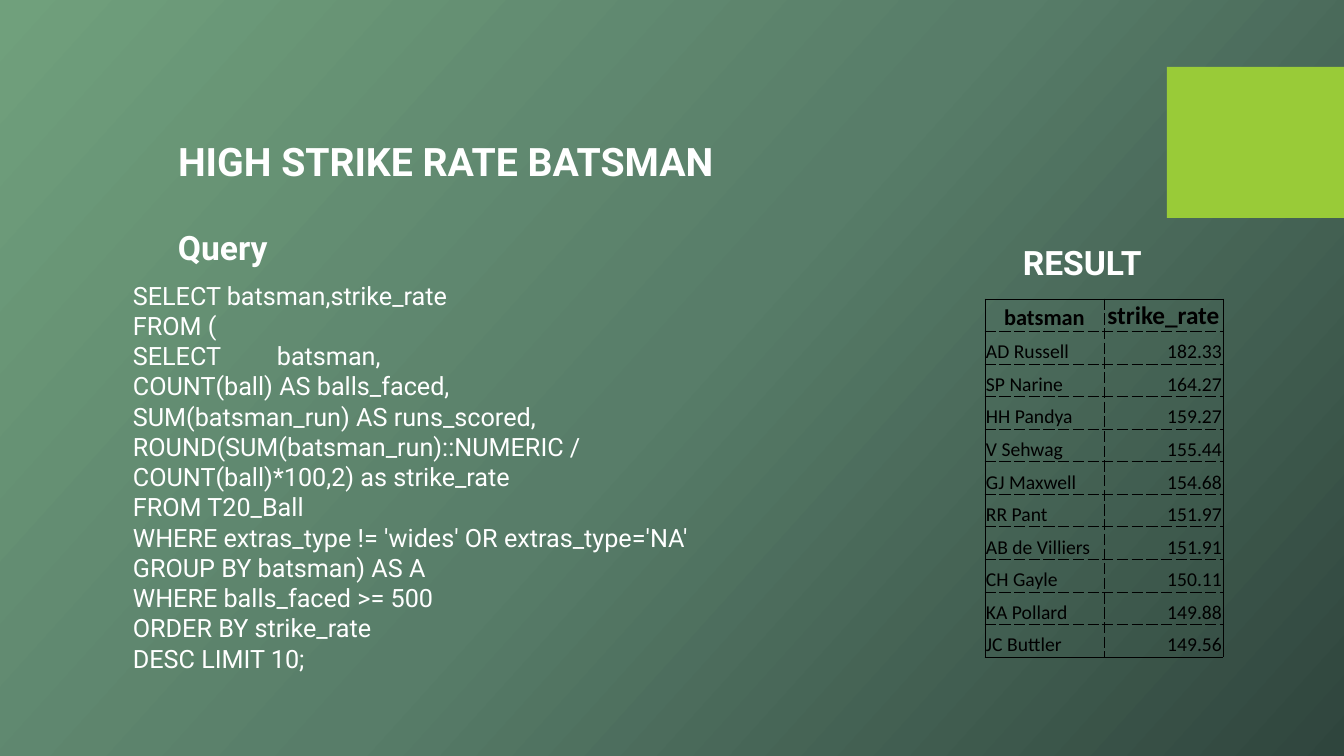
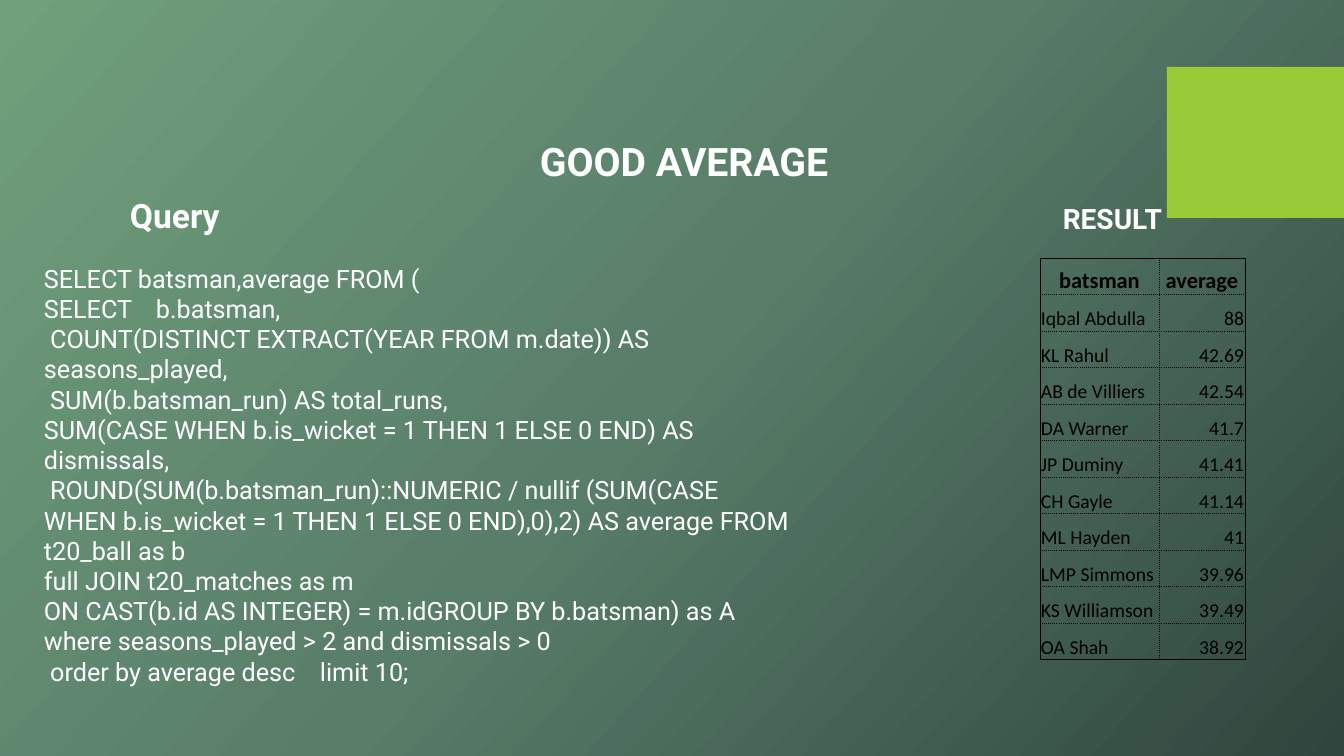
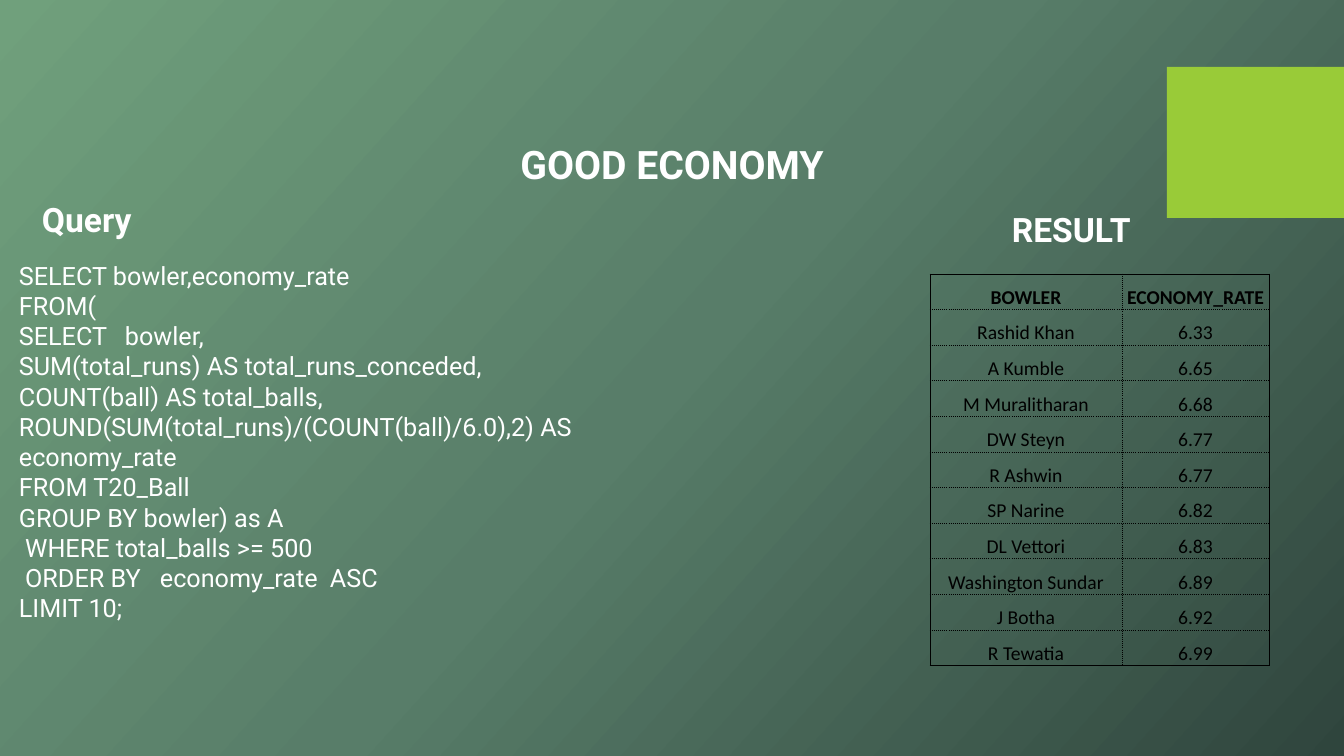
from copy import deepcopy

from lxml.etree import SubElement
from pptx import Presentation
from pptx.dml.color import RGBColor
from pptx.enum.shapes import MSO_SHAPE
from pptx.enum.text import MSO_ANCHOR, MSO_AUTO_SIZE, PP_ALIGN
from pptx.oxml.ns import qn
from pptx.util import Emu, Pt

# Shared look
SLIDE_W, SLIDE_H = 1344, 756
GRADIENT = [(0, "70A07C"), (0.5, "587D69"), (1, "2F453D")]
GREEN, WHITE, BLACK = "99CB38", "FFFFFF", "000000"
TEXT_FONT, TABLE_FONT = "Roboto", "Calibri"
LEFT, CENTER, RIGHT = PP_ALIGN.LEFT, PP_ALIGN.CENTER, PP_ALIGN.RIGHT

# Content: each query line is its text followed by its tab stops
STRIKE_RATE = dict(
    title="HIGH STRIKE RATE BATSMAN", title_box=(168, 132, 846, 57), title_align=LEFT,
    query_at=(168, 222), code_box=(123, 275, 643, 407),
    result_at=(1013, 237), result_size=24,
    query=[
        ("SELECT batsman,strike_rate",),
        ("FROM (",),
        ("SELECT\tbatsman,", 144),
        ("COUNT(ball) AS balls_faced,",),
        ("SUM(batsman_run) AS runs_scored,",),
        ("ROUND(SUM(batsman_run)::NUMERIC / COUNT(ball)*100,2) as strike_rate",),
        ("FROM T20_Ball",),
        ("WHERE extras_type != 'wides' OR extras_type='NA' GROUP BY batsman) AS A",),
        ("WHERE balls_faced >= 500",),
        ("ORDER BY strike_rate",),
        ("DESC LIMIT 10;",),
    ],
    table=dict(
        at=(985, 299), col_widths=(119, 119), height=358, dash="dash",
        header_sizes=(16, 18), aligns=(LEFT, RIGHT),
        rows=[
            ("batsman", "strike_rate"),
            ("AD Russell", "182.33"), ("SP Narine", "164.27"),
            ("HH Pandya", "159.27"), ("V Sehwag", "155.44"),
            ("GJ Maxwell", "154.68"), ("RR Pant", "151.97"),
            ("AB de Villiers", "151.91"), ("CH Gayle", "150.11"),
            ("KA Pollard", "149.88"), ("JC Buttler", "149.56"),
        ]),
)

AVERAGE = dict(
    title="GOOD AVERAGE", title_box=(24, 132, 1320, 57), title_align=CENTER,
    query_at=(120, 190), code_box=(34, 258, 765, 437),
    result_at=(1053, 197), result_size=20,
    query=[
        ("SELECT batsman,average FROM (",),
        ("SELECT\tb.batsman,", 112),
        (" COUNT(DISTINCT EXTRACT(YEAR FROM m.date)) AS seasons_played,",),
        (" SUM(b.batsman_run) AS total_runs,",),
        ("SUM(CASE WHEN b.is_wicket = 1 THEN 1 ELSE 0 END) AS dismissals,",),
        (" ROUND(SUM(b.batsman_run)::NUMERIC / nullif (SUM(CASE WHEN b.is_wicket = 1 "
         "THEN 1 ELSE 0 END),0),2) AS average FROM t20_ball as b",),
        ("full JOIN t20_matches as m",),
        ("ON CAST(b.id AS INTEGER) = m.idGROUP BY b.batsman) as A "
         "where seasons_played > 2 and dismissals > 0",),
        (" order by average desc\tlimit 10;", 276),
    ],
    table=dict(
        at=(1040, 258), col_widths=(119, 86), height=402, dash="dot",
        header_sizes=(16, 16), aligns=(LEFT, RIGHT),
        rows=[
            ("batsman", "average"),
            ("Iqbal Abdulla", "88"), ("KL Rahul", "42.69"),
            ("AB de Villiers", "42.54"), ("DA Warner", "41.7"),
            ("JP Duminy", "41.41"), ("CH Gayle", "41.14"),
            ("ML Hayden", "41"), ("LMP Simmons", "39.96"),
            ("KS Williamson", "39.49"), ("OA Shah", "38.92"),
        ]),
)

ECONOMY = dict(
    title="GOOD ECONOMY", title_box=(0, 135, 1344, 57), title_align=CENTER,
    query_at=(32, 194), code_box=(9, 255, 630, 377),
    result_at=(1002, 204), result_size=24,
    query=[
        ("SELECT bowler,economy_rate",),
        ("FROM(",),
        ("SELECT\tbowler,", 106),
        ("SUM(total_runs) AS total_runs_conceded,",),
        ("COUNT(ball) AS total_balls,",),
        ("ROUND(SUM(total_runs)/(COUNT(ball)/6.0),2) AS economy_rate",),
        ("FROM T20_Ball",),
        ("GROUP BY bowler) as A",),
        (" WHERE total_balls >= 500",),
        (" ORDER BY\teconomy_rate\tASC", 141, 311),
        ("LIMIT 10;",),
    ],
    table=dict(
        at=(930, 274), col_widths=(192, 147), height=392, dash="dot",
        header_sizes=(14, 14), aligns=(CENTER, CENTER),
        rows=[
            ("BOWLER", "ECONOMY_RATE"),
            ("Rashid Khan", "6.33"), ("A Kumble", "6.65"),
            ("M Muralitharan", "6.68"), ("DW Steyn", "6.77"),
            ("R Ashwin", "6.77"), ("SP Narine", "6.82"),
            ("DL Vettori", "6.83"), ("Washington Sundar", "6.89"),
            ("J Botha", "6.92"), ("R Tewatia", "6.99"),
        ]),
)


def px(length):
    return Emu(round(length * 12192000 / SLIDE_W))


def rgb(color):
    return RGBColor.from_string(color)


def add_run(paragraph, text, size, font=TEXT_FONT, color=WHITE, bold=False):
    run = paragraph.add_run()
    run.text = text
    run.font.name, run.font.size, run.font.bold = font, Pt(size), bold
    run.font.color.rgb = rgb(color)


def set_tab_stops(paragraph, stops):
    tab_list = SubElement(paragraph._p.get_or_add_pPr(), qn("a:tabLst"))
    for stop in stops:
        SubElement(tab_list, qn("a:tab"), pos=str(px(stop)), algn="l")


def set_master_background(master):
    fill = master.background.fill
    fill.gradient()
    stop_list = master.element.find(".//" + qn("a:gsLst"))
    stop_list.insert(1, deepcopy(stop_list[0]))
    for stop, (position, color) in zip(fill.gradient_stops, GRADIENT):
        stop.position = position
        stop.color.rgb = rgb(color)
    fill.gradient_angle = 360 - 42


def add_layout_block(layout, slide):
    """Draw the green block and hand it to the layout, so every slide shows it."""
    block = slide.shapes.add_shape(MSO_SHAPE.RECTANGLE, px(1167), px(67), px(177), px(151))
    block.shadow.inherit = False
    block.fill.solid()
    block.fill.fore_color.rgb = rgb(GREEN)
    block.line.fill.background()
    layout.element.find(".//" + qn("p:spTree")).append(block.element)


def set_title(slide, text, box, align):
    title = slide.shapes.title
    title.left, title.top, title.width, title.height = map(px, box)
    frame = title.text_frame
    frame.vertical_anchor = MSO_ANCHOR.TOP
    frame.auto_size = MSO_AUTO_SIZE.SHAPE_TO_FIT_TEXT
    frame.paragraphs[0].alignment = align
    add_run(frame.paragraphs[0], text, 28, bold=True)


def add_text(slide, box, lines, size, bold=False):
    frame = slide.shapes.add_textbox(*map(px, box)).text_frame
    frame.word_wrap = True
    frame.auto_size = MSO_AUTO_SIZE.SHAPE_TO_FIT_TEXT
    for index, (text, *stops) in enumerate(lines):
        paragraph = frame.add_paragraph() if index else frame.paragraphs[0]
        if stops:
            set_tab_stops(paragraph, stops)
        add_run(paragraph, text, size, bold=bold)


def add_heading(slide, at, text, size):
    add_text(slide, (*at, 200, 50), [(text,)], size, bold=True)


def set_borders(cell, dashes):
    properties = cell._tc.get_or_add_tcPr()
    for index, (side, dash) in enumerate(zip("LRTB", dashes)):
        line = SubElement(properties, qn("a:ln" + side), w=str(Pt(0.5)))
        fill = SubElement(line, qn("a:solidFill"))
        SubElement(fill, qn("a:srgbClr"), val=BLACK)
        SubElement(line, qn("a:prstDash"), val=dash)
        properties.insert(index, line)


def add_result_table(slide, at, col_widths, height, dash, header_sizes, aligns, rows):
    last_row, last_col = len(rows) - 1, len(col_widths) - 1
    table = slide.shapes.add_table(len(rows), len(col_widths), *map(px, at),
                                   px(sum(col_widths)), px(height)).table
    table.first_row = table.horz_banding = False
    for column, width in zip(table.columns, col_widths):
        column.width = px(width)
    for r, values in enumerate(rows):
        table.rows[r].height = px(height / len(rows))
        for c, value in enumerate(values):
            cell = table.cell(r, c)
            cell.margin_left = cell.margin_right = cell.margin_top = px(1)
            cell.margin_bottom = 0
            cell.vertical_anchor = MSO_ANCHOR.BOTTOM
            cell.fill.background()
            on_edge = (c == 0, c == last_col, r == 0, r == last_row)
            set_borders(cell, ["solid" if edge else dash for edge in on_edge])
            header = r == 0
            paragraph = cell.text_frame.paragraphs[0]
            paragraph.alignment = CENTER if header else aligns[c]
            add_run(paragraph, value, header_sizes[c] if header else 14,
                    TABLE_FONT, BLACK, bold=header)


def fill_slide(slide, content):
    set_title(slide, content["title"], content["title_box"], content["title_align"])
    add_heading(slide, content["query_at"], "Query", 24)
    add_text(slide, content["code_box"], content["query"], 18)
    add_heading(slide, content["result_at"], "RESULT", content["result_size"])
    add_result_table(slide, **content["table"])


def main():
    deck = Presentation()
    deck.slide_width, deck.slide_height = px(SLIDE_W), px(SLIDE_H)
    set_master_background(deck.slide_master)
    title_only = deck.slide_layouts[5]
    slides = [deck.slides.add_slide(title_only) for _ in range(3)]
    add_layout_block(title_only, slides[0])
    for slide, content in zip(slides, (STRIKE_RATE, AVERAGE, ECONOMY)):
        fill_slide(slide, content)
    deck.save("out.pptx")


if __name__ == "__main__":
    main()
